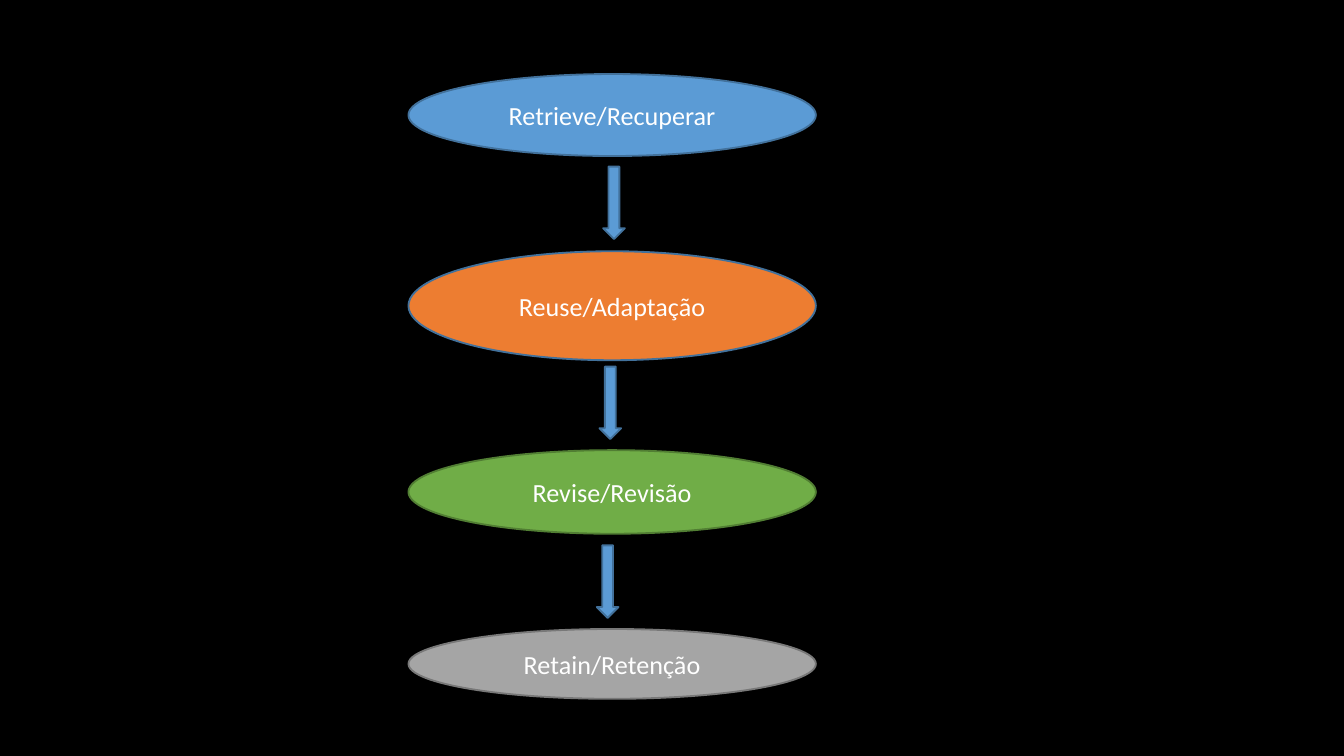
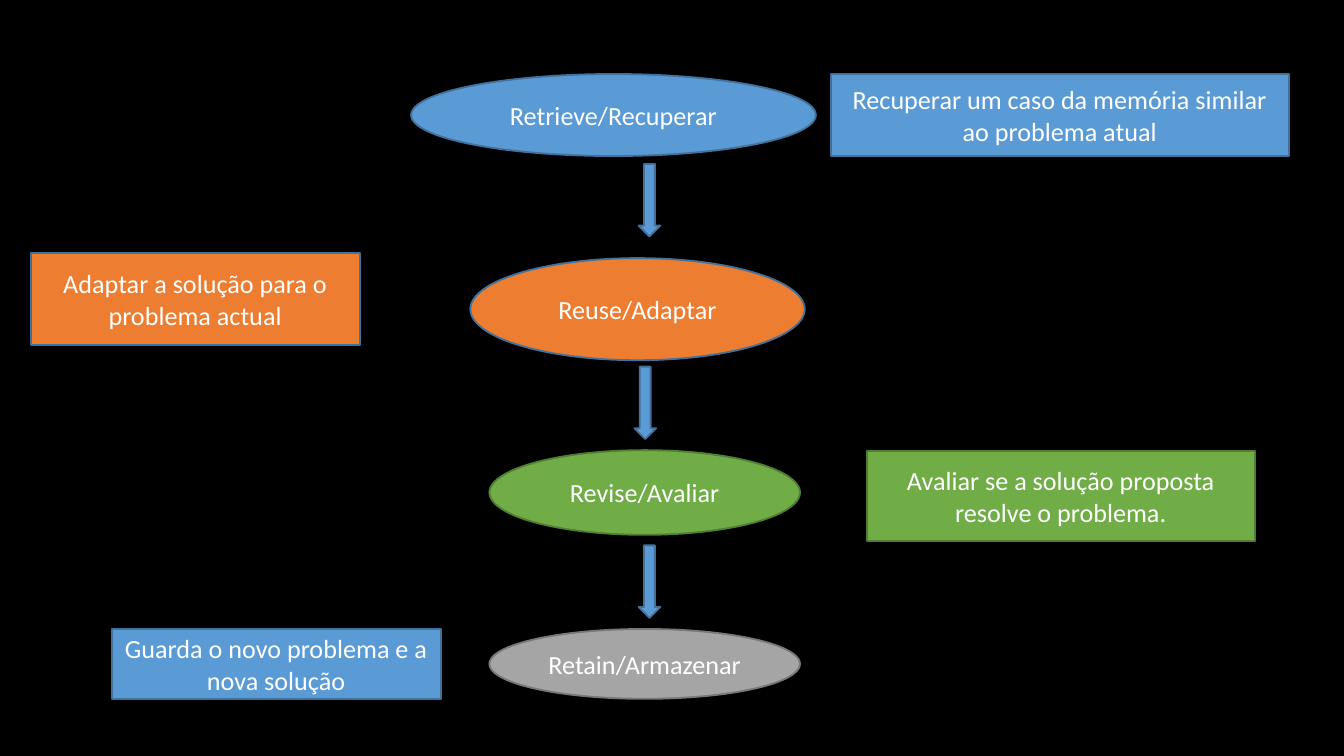
from typing import NamedTuple

from pptx import Presentation
from pptx.dml.color import RGBColor
from pptx.enum.shapes import MSO_SHAPE
from pptx.enum.text import MSO_ANCHOR, PP_ALIGN
from pptx.util import Cm, Pt

COLORS = {
    "background": "000000",
    "text": "FFFFFF",
    "blue": "5B9BD5",
    "blue_line": "42719B",
    "orange": "ED7D31",
    "green": "70AD47",
    "green_line": "517E33",
    "gray": "A5A5A5",
    "gray_line": "787878",
}
# Fill and outline of each stage of the cycle
STYLES = {
    "retrieve": ("blue", "blue_line"),
    "reuse": ("orange", "blue_line"),
    "revise": ("green", "green_line"),
    "retain": ("gray", "gray_line"),
    "arrow": ("blue", "blue_line"),
}
FONT = "Calibri"
FONT_SIZE = Pt(14)
ARROW_WIDTH, ARROW_HEIGHT = 0.41, 1.37
BLANK_LAYOUT = 6


class Box(NamedTuple):
    """A rectangle in centimetres."""
    left: float
    top: float
    width: float
    height: float

    def place(self, inner):
        """Turn a box measured from this one's corner into a slide position."""
        return Box(self.left + inner.left, self.top + inner.top, inner.width, inner.height)


def color(name):
    return RGBColor.from_string(COLORS[name])


def add_filled_shape(slide, kind, box, style):
    fill, line = STYLES[style]
    shape = slide.shapes.add_shape(kind, *(Cm(length) for length in box))
    shape.shadow.inherit = False
    shape.fill.solid()
    shape.fill.fore_color.rgb = color(fill)
    shape.line.color.rgb = color(line)
    shape.line.width = Pt(1)
    return shape


def add_label(slide, kind, box, style, text):
    frame = add_filled_shape(slide, kind, box, style).text_frame
    frame.word_wrap = True
    frame.vertical_anchor = MSO_ANCHOR.MIDDLE
    frame.margin_left = frame.margin_right = Cm(0.19)
    frame.margin_top = frame.margin_bottom = Cm(0.1)
    paragraph = frame.paragraphs[0]
    paragraph.text = text
    paragraph.alignment = PP_ALIGN.CENTER
    paragraph.font.name = FONT
    paragraph.font.size = FONT_SIZE
    paragraph.font.color.rgb = color("text")


def add_cycle(slide, area, stages, arrows):
    for style, text, box in stages:
        add_label(slide, MSO_SHAPE.OVAL, area.place(box), style, text)
    for left, top in arrows:
        box = Box(left, top, ARROW_WIDTH, ARROW_HEIGHT)
        add_filled_shape(slide, MSO_SHAPE.DOWN_ARROW, area.place(box), "arrow")


def add_explanations(slide, area, explanations):
    for style, text, box in explanations:
        add_label(slide, MSO_SHAPE.RECTANGLE, area.place(box), style, text)


def add_overview_slide(presentation, area):
    slide = presentation.slides.add_slide(presentation.slide_layouts[BLANK_LAYOUT])
    stages = [
        ("retrieve", "Retrieve/Recuperar", Box(0, 0, area.width, 1.55)),
        ("reuse", "Reuse/Adaptação", Box(0, 3.35, area.width, 2.06)),
        ("revise", "Revise/Revisão", Box(0, 7.11, area.width, 1.58)),
        ("retain", "Retain/Retenção", Box(0, 10.49, area.width, 1.32)),
    ]
    add_cycle(slide, area, stages, [(3.68, 1.75), (3.61, 5.53), (3.56, 8.91)])


def add_detail_slide(presentation, area):
    slide = presentation.slides.add_slide(presentation.slide_layouts[BLANK_LAYOUT])
    stages = [
        ("retrieve", "Retrieve/Recuperar", Box(7.19, 0, 7.65, 1.55)),
        ("reuse", "Reuse/Adaptar", Box(8.31, 3.48, 6.32, 1.93)),
        ("revise", "Revise/Avaliar", Box(8.67, 7.11, 5.87, 1.6)),
        ("retain", "Retain/Armazenar", Box(8.67, 10.49, 5.87, 1.32)),
    ]
    add_cycle(slide, area, stages, [(11.49, 1.7), (11.41, 5.53), (11.49, 8.91)])
    add_explanations(slide, area, [
        ("retrieve", "Recuperar um caso da memória similar ao problema atual",
         Box(15.12, 0, 8.66, 1.55)),
        ("reuse", "Adaptar a solução para o problema actual", Box(0, 3.38, 6.22, 1.75)),
        ("revise", "Avaliar se a solução proposta resolve o problema.",
         Box(15.8, 7.13, 7.34, 1.7)),
        ("retrieve", "Guarda o novo problema e a nova solução",
         Box(1.53, 10.49, 6.22, 1.32)),
    ])


def main():
    presentation = Presentation()
    presentation.slide_width = Cm(25.4)
    presentation.slide_height = Cm(14.29)
    background = presentation.slide_master.background.fill
    background.solid()
    background.fore_color.rgb = color("background")
    add_overview_slide(presentation, Box(7.72, 1.4, 7.7, 11.81))
    add_detail_slide(presentation, Box(0.58, 1.4, 23.78, 11.81))
    presentation.save("out.pptx")


if __name__ == "__main__":
    main()
